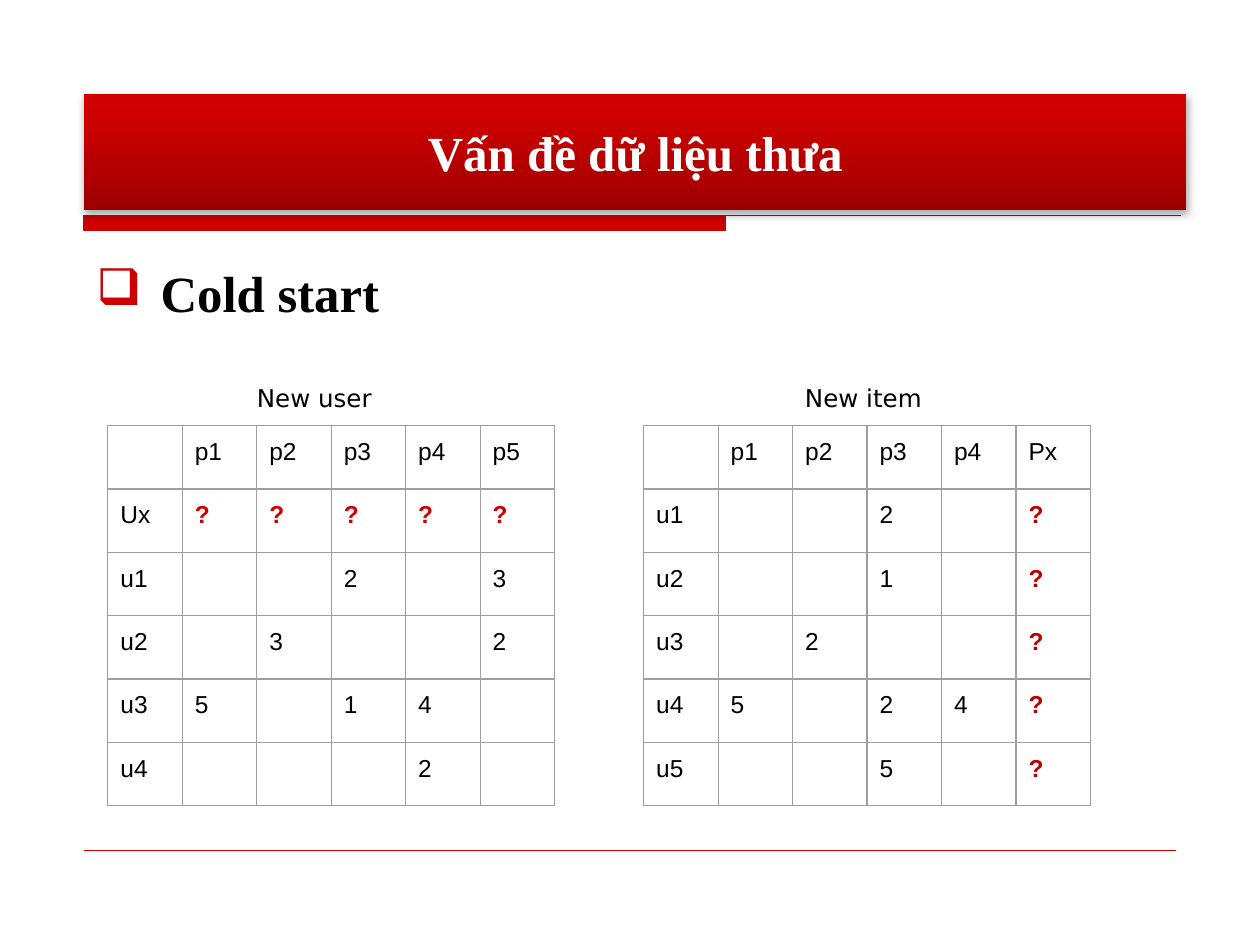
"""Build the slide on sparse data: a cold start for a new user and for a new item."""
from copy import deepcopy

from lxml import etree
from pptx import Presentation
from pptx.dml.color import RGBColor
from pptx.enum import shapes, text
from pptx.oxml import ns
from pptx.util import Pt

TITLE = "Vấn đề dữ liệu thưa"
TOPIC = "Cold start"
RATINGS = [
    {"caption": "New user", "left": 61.6, "caption_left": 139.7, "unknown": "CC0000", "rows": [
        ["", "p1", "p2", "p3", "p4", "p5"],
        ["Ux", "?", "?", "?", "?", "?"],
        ["u1", "", "", "2", "", "3"],
        ["u2", "", "3", "", "", "2"],
        ["u3", "5", "", "1", "4", ""],
        ["u4", "", "", "", "2", ""]]},
    {"caption": "New item", "left": 367.8, "caption_left": 452.9, "unknown": "B90000", "rows": [
        ["", "p1", "p2", "p3", "p4", "Px"],
        ["u1", "", "", "2", "", "?"],
        ["u2", "", "", "1", "", "?"],
        ["u3", "", "2", "", "", "?"],
        ["u4", "5", "", "2", "4", "?"],
        ["u5", "", "", "5", "", "?"]]},
]
THEME = {
    "red": "CC0000", "black": "000000", "white": "FFFFFF", "grid": "9E9E9E",
    "gradient": [(0, "9D0000"), (0.8, "CE0000"), (1, "D30000")],
    "serif": "Times New Roman", "sans": "Arial", "caption": "DejaVu Sans",
    "title_size": 28, "topic_size": 29, "small_size": 14, "rule": 0.75,
}
LEFT, TABLE_TOP, COLUMN, ROW = 48, 243.2, 42.55, 36.22
BAND_TOP, BAND_BOTTOM, BAND_RIGHT, RULE_RIGHT = 123, 131.8, 414.5, 674.6


def add_xml(parent, tag, **attributes):
    return etree.SubElement(parent, ns.qn(tag), attributes)


def write(frame, content, *, size, font, color=THEME["black"], bold=False,
          align=text.PP_ALIGN.LEFT, anchor=text.MSO_ANCHOR.TOP, pad=3.6):
    frame.word_wrap = True
    frame.vertical_anchor = anchor
    frame.margin_left = frame.margin_right = Pt(7.2)
    frame.margin_top = frame.margin_bottom = Pt(pad)
    paragraph = frame.paragraphs[0]
    paragraph.alignment = align
    run = paragraph.add_run()
    run.text = content
    run.font.size, run.font.name, run.font.bold = Pt(size), font, bold
    run.font.color.rgb = RGBColor.from_string(color)
    return paragraph


def style_line(line, color):
    line.color.rgb = RGBColor.from_string(color)
    line.width = Pt(THEME["rule"])


def add_rules(slide):
    builder = slide.shapes.build_freeform(Pt(LEFT), Pt(BAND_TOP))
    corners = [(BAND_RIGHT, BAND_TOP), (BAND_RIGHT, BAND_BOTTOM), (LEFT, BAND_BOTTOM)]
    builder.add_line_segments([(Pt(x), Pt(y)) for x, y in corners], close=True)
    builder.move_to(Pt(LEFT), Pt(BAND_TOP))
    builder.add_line_segments([(Pt(RULE_RIGHT), Pt(BAND_TOP))], close=False)
    band = builder.convert_to_shape()
    band.shadow.inherit = False
    band.fill.solid()
    band.fill.fore_color.rgb = RGBColor.from_string(THEME["red"])
    style_line(band.line, THEME["red"])
    footer = slide.shapes.add_connector(
        shapes.MSO_CONNECTOR.STRAIGHT, Pt(LEFT), Pt(486), Pt(672), Pt(486))
    style_line(footer.line, THEME["red"])
    add_xml(footer._element.spPr, "a:effectLst")


def add_title(slide):
    banner = slide.shapes.add_shape(
        shapes.MSO_SHAPE.RECTANGLE, Pt(LEFT), Pt(54), Pt(630), Pt(66))
    banner.line.fill.background()
    banner.fill.gradient()
    banner.fill.gradient_angle = 90
    stops = banner._element.spPr.find(ns.qn("a:gradFill")).find(ns.qn("a:gsLst"))
    stops.append(deepcopy(stops[0]))
    for stop, (position, color) in zip(banner.fill.gradient_stops, THEME["gradient"]):
        stop.position = position
        stop.color.rgb = RGBColor.from_string(color)
    banner.shadow.inherit = False
    effects = banner._element.spPr.find(ns.qn("a:effectLst"))
    shadow = add_xml(effects, "a:outerShdw", blurRad=str(Pt(5)), dist=str(Pt(1.8)),
                     dir="5400000", rotWithShape="0")
    shade = add_xml(shadow, "a:srgbClr", val=THEME["black"])
    add_xml(shade, "a:alpha", val="35000")
    write(banner.text_frame, TITLE, size=THEME["title_size"], font=THEME["serif"],
          color=THEME["white"], bold=True, align=text.PP_ALIGN.CENTER,
          anchor=text.MSO_ANCHOR.MIDDLE)


def add_topic(slide):
    body = slide.shapes.add_textbox(Pt(LEFT), Pt(150), Pt(648), Pt(318))
    topic = write(body.text_frame, TOPIC, size=THEME["topic_size"],
                  font=THEME["serif"], bold=True)
    topic.line_spacing = 0.9
    properties = topic._p.get_or_add_pPr()
    properties.set("marL", str(Pt(36.7)))
    properties.set("indent", str(Pt(-36.7)))
    add_xml(add_xml(properties, "a:buClr"), "a:srgbClr", val=THEME["red"])
    add_xml(properties, "a:buChar", char="❑")


def style_cell(cell):
    properties = cell._tc.get_or_add_tcPr()
    for side in "LRTB":
        border = add_xml(properties, f"a:ln{side}", w=str(Pt(THEME["rule"])))
        add_xml(add_xml(border, "a:solidFill"), "a:srgbClr", val=THEME["grid"])
    cell.fill.background()


def add_ratings(slide, ratings):
    rows = ratings["rows"]
    count, width = len(rows), len(rows[0])
    table = slide.shapes.add_table(
        count, width, Pt(ratings["left"]), Pt(TABLE_TOP),
        Pt(COLUMN * width), Pt(ROW * count)).table
    table.first_row = table.horz_banding = False
    for column in table.columns:
        column.width = Pt(COLUMN)
    for row, values in zip(table.rows, rows):
        row.height = Pt(ROW)
        for cell, value in zip(row.cells, values):
            style_cell(cell)
            cell.margin_left = cell.margin_right = Pt(7.2)
            cell.margin_top = cell.margin_bottom = Pt(7.2)
            if value:
                unknown = value == "?"
                write(cell.text_frame, value, size=THEME["small_size"], font=THEME["sans"],
                      color=ratings["unknown"] if unknown else THEME["black"], bold=unknown,
                      pad=7.2)


def add_caption(slide, ratings):
    caption = slide.shapes.add_textbox(
        Pt(ratings["caption_left"]), Pt(211.7), Pt(181.4), Pt(31.5))
    write(caption.text_frame, ratings["caption"], size=THEME["small_size"],
          font=THEME["caption"], pad=7.2)


def main():
    deck = Presentation()
    deck.slide_width, deck.slide_height = Pt(720), Pt(540)
    slide = deck.slides.add_slide(deck.slide_layouts[6])
    add_rules(slide)
    add_title(slide)
    add_topic(slide)
    for ratings in RATINGS:
        add_ratings(slide, ratings)
    for ratings in RATINGS:
        add_caption(slide, ratings)
    deck.save("out.pptx")


if __name__ == "__main__":
    main()
